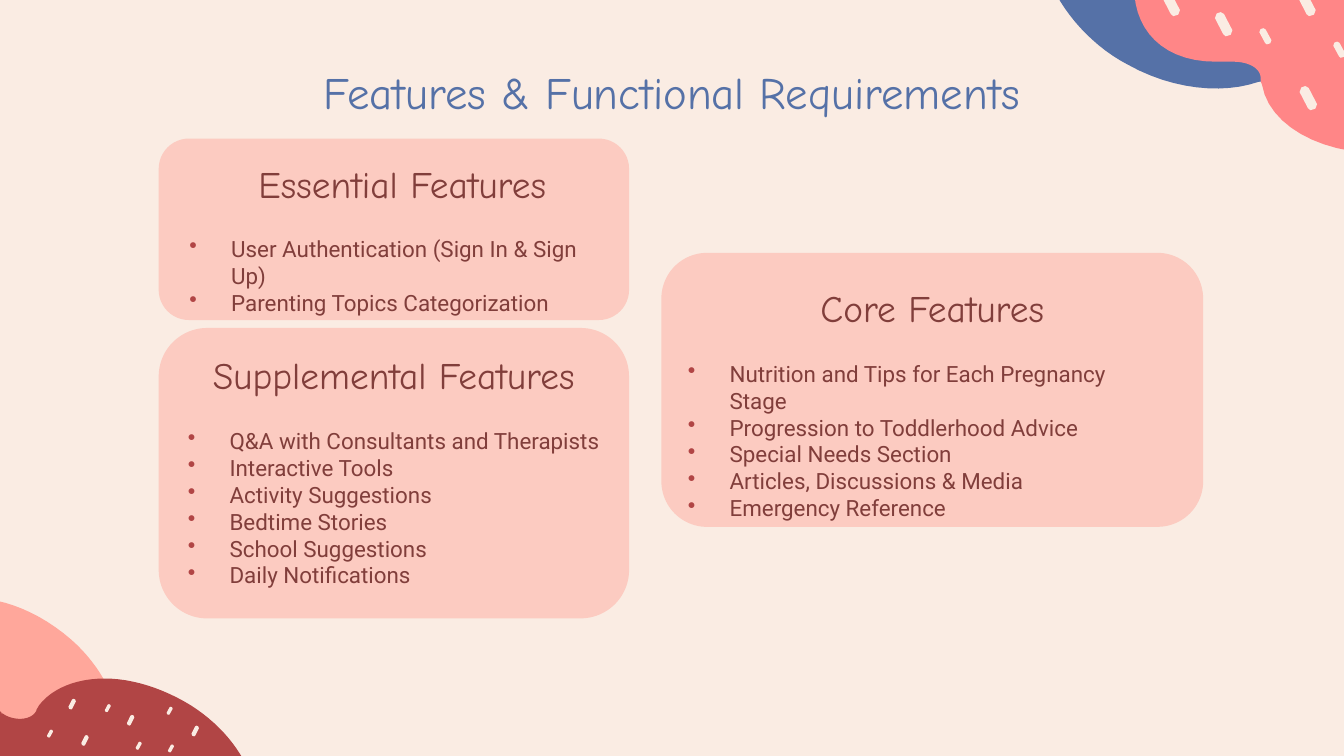
"""Build the features and functional requirements slide."""
from typing import NamedTuple

from lxml.etree import SubElement
from pptx import Presentation
from pptx.dml.color import RGBColor
from pptx.enum.shapes import MSO_SHAPE
from pptx.enum.text import MSO_ANCHOR, MSO_AUTO_SIZE, PP_ALIGN
from pptx.oxml.ns import qn
from pptx.util import Cm, Pt

CREAM, PEACH, CORAL = "FAECE3", "FFA79B", "FF8687"
RED, BROWN, BLUE = "B14545", "813E3B", "5571A7"
GRID = Cm(0.0254)
CURVE_STEPS = 12
DASH = [(0.62, 1), (0.9, 0.94), (1, 0.75), (0.52, 0.08),
        (0.33, 0), (0.1, 0.06), (0, 0.25), (0.48, 0.92)]


class Box(NamedTuple):
    left: float
    top: float
    width: float
    height: float


class Card(NamedTuple):
    panel: Box
    heading_box: Box
    heading: str
    list_box: Box
    items: list[str]


class Blob(NamedTuple):
    color: str
    start: tuple
    segments: list[tuple]


class Dashes(NamedTuple):
    width: float
    height: float
    mirrored: bool
    corners: list[tuple]


BLOBS_BOTTOM = [
    Blob(PEACH, (-134, 439), [
        (-147, 439, -159, 444, -170, 453), (-192, 473, -184, 512, -151, 542),
        (-146, 547, -142, 552, -142, 557), (-138, 585, -119, 615, -87, 638),
        (-66, 653, -40, 662, -17, 663), (86, 526),
        (81, 509, 70, 491, 53, 476), (30, 456, 3, 445, -21, 445),
        (-36, 445, -49, 450, -58, 459), (-60, 460, -61, 461, -62, 462),
        (-64, 465, -67, 466, -71, 466), (-76, 466, -82, 464, -87, 460),
        (-87, 459), (-104, 445, -120, 439, -134, 439)]),
    Blob(RED, (78, 505), [
        (57, 505, 39, 512, 29, 525), (28, 527, 27, 528, 27, 529),
        (25, 533, 20, 535, 15, 535), (11, 535, 6, 534, 2, 531),
        (1, 531, 1, 531, 1, 530), (-14, 521, -28, 517, -41, 517),
        (-57, 517, -71, 524, -82, 537), (-100, 559, -86, 598, -50, 621),
        (-49, 622), (-43, 626, -39, 630, -38, 635),
        (-30, 662, -6, 689, 29, 707), (47, 716, 69, 721, 88, 721),
        (93, 721, 97, 721, 102, 720), (183, 569),
        (175, 553, 161, 537, 142, 525), (121, 512, 98, 505, 78, 505)]),
]
BLOBS_TOP = [
    Blob(BLUE, (1039, 3), [
        (1044, 15, 1045, 28, 1042, 41), (1034, 69, 994, 80, 954, 63),
        (953, 63), (947, 60, 941, 60, 936, 61),
        (910, 70, 873, 67, 839, 48), (816, 36, 797, 16, 786, -4),
        (864, -157), (881, -160, 902, -158, 923, -149),
        (951, -137, 973, -117, 983, -96), (989, -83, 991, -69, 987, -57),
        (987, -55, 986, -54, 986, -52), (984, -49, 985, -46, 986, -42),
        (988, -38, 993, -33, 999, -31), (1000, -30),
        (1020, -22, 1032, -10, 1039, 3)]),
    Blob(CORAL, (1026, 114), [
        (1030, 114, 1034, 114, 1039, 114), (1062, 112, 1081, 104, 1095, 93),
        (1091, -78), (1072, -91, 1046, -99, 1020, -99),
        (980, -99, 947, -86, 928, -65), (925, -62, 919, -59, 912, -59),
        (911, -58), (868, -54, 838, -26, 845, 3),
        (850, 28, 870, 46, 905, 46), (908, 46, 912, 46, 915, 46),
        (918, 46), (929, 46, 938, 51, 938, 58),
        (938, 60, 938, 61, 939, 63), (944, 93, 982, 114, 1026, 114)]),
]
DASHES_BOTTOM = [
    Dashes(4.5, 6, True, [(124, 526), (35, 543), (101, 552), (78, 524), (125, 554)]),
    Dashes(5.5, 8, True, [(94.5, 532), (51, 520), (142.5, 540), (60.5, 547)]),
]
DASHES_TOP = [
    Dashes(13, 18, False, [(865, -6), (966, -6), (967, 64), (904, 9)]),
    Dashes(9, 12, False, [(937, 21), (992, 31)]),
]
TITLE_BOX = Box(3.73, 1.09, 17.93, 1.3)
CARDS = [
    Card(Box(3, 2.62, 8.89, 3.43), Box(4.8, 2.82, 5.61, 1.3), "Essential Features",
         Box(3.33, 4.32, 8.59, 1.27),
         ["User Authentication (Sign In & Sign Up)", "Parenting Topics Categorization"]),
    Card(Box(12.5, 4.78, 10.24, 5.18), Box(13.72, 5.16, 7.8, 1.3), "Core Features",
         Box(12.75, 6.68, 9.37, 2.82),
         ["Nutrition and Tips for Each Pregnancy Stage", "Progression to Toddlerhood Advice",
          "Special Needs Section", "Articles, Discussions & Media", "Emergency Reference"]),
    Card(Box(3, 6.2, 8.89, 5.49), Box(3.15, 6.43, 8.59, 1.3), "Supplemental Features",
         Box(3.3, 7.95, 8.59, 3.33),
         ["Q&A with Consultants and Therapists", "Interactive Tools", "Activity Suggestions",
          "Bedtime Stories", "School Suggestions", "Daily Notifications"]),
]


def set_fill(fill, color: str) -> None:
    fill.solid()
    fill.fore_color.rgb = RGBColor.from_string(color)


def to_cm(box: Box) -> list[Cm]:
    return [Cm(v) for v in box]


def add_outline(s, points: list[tuple], color: str) -> None:
    emu = [(round(x * GRID), round(y * GRID)) for x, y in points]
    builder = s.shapes.build_freeform(*emu[0])
    builder.add_line_segments(emu[1:])
    sp = builder.convert_to_shape()
    sp.shadow.inherit = False
    set_fill(sp.fill, color)
    sp.line.fill.background()


def add_blob(s, blob: Blob) -> None:
    points = [blob.start]
    for seg in blob.segments:
        if len(seg) == 2:
            points.append(seg)
            continue
        ctrl = [points[-1], seg[:2], seg[2:4], seg[4:]]
        for i in range(1, CURVE_STEPS + 1):
            t = i / CURVE_STEPS
            weights = ((1 - t) ** 3, 3 * t * (1 - t) ** 2, 3 * t * t * (1 - t), t ** 3)
            points.append(tuple(sum(w * c[axis] for w, c in zip(weights, ctrl))
                                for axis in (0, 1)))
    add_outline(s, points, blob.color)


def add_dashes(s, dashes: Dashes) -> None:
    for left, top in dashes.corners:
        add_outline(s, [(left + dashes.width * (1 - x if dashes.mirrored else x),
                         top + dashes.height * y) for x, y in DASH], CREAM)


def set_font(p, name: str, size: float, color: str) -> None:
    for r in p.runs:
        r.font.name = name
        r.font.size = Pt(size)
        r.font.color.rgb = RGBColor.from_string(color)


def add_heading(s, box: Box, text: str, size: float, color: str) -> None:
    tf = s.shapes.add_textbox(*to_cm(box)).text_frame
    tf.word_wrap = True
    tf.vertical_anchor = MSO_ANCHOR.MIDDLE
    tf.margin_left = tf.margin_right = tf.margin_top = tf.margin_bottom = Cm(0)
    tf.text = text
    p = tf.paragraphs[0]
    p.alignment = PP_ALIGN.CENTER
    set_font(p, "Comic Neue", size, color)


def add_bullets(s, box: Box, items: list[str]) -> None:
    tf = s.shapes.add_textbox(*to_cm(box)).text_frame
    tf.word_wrap = True
    tf.auto_size = MSO_AUTO_SIZE.SHAPE_TO_FIT_TEXT
    tf.text = "\n".join(items)
    for p in tf.paragraphs:
        pPr = p._p.get_or_add_pPr()
        pPr.set("marL", str(Cm(0.79)))
        pPr.set("indent", str(-Cm(0.79)))
        SubElement(SubElement(pPr, qn("a:buClr")), qn("a:srgbClr"), val=RED)
        SubElement(pPr, qn("a:buChar"), char="•")
        set_font(p, "Roboto", 12, BROWN)


def add_card(s, card: Card) -> None:
    sp = s.shapes.add_shape(MSO_SHAPE.ROUNDED_RECTANGLE, *to_cm(card.panel))
    sp.shadow.inherit = False
    set_fill(sp.fill, PEACH)
    SubElement(sp._element.spPr.find(".//" + qn("a:srgbClr")), qn("a:alpha"), val="47000")
    sp.line.fill.background()
    add_bullets(s, card.list_box, card.items)
    add_heading(s, card.heading_box, card.heading, 20, BROWN)


def main() -> None:
    prs = Presentation()
    prs.slide_width, prs.slide_height = Cm(25.4), Cm(14.29)
    s = prs.slides.add_slide(prs.slide_layouts[6])
    set_fill(s.background.fill, CREAM)
    for blobs, groups in ((BLOBS_BOTTOM, DASHES_BOTTOM), (BLOBS_TOP, DASHES_TOP)):
        for blob in blobs:
            add_blob(s, blob)
        for dashes in groups:
            add_dashes(s, dashes)
    add_heading(s, TITLE_BOX, "Features & Functional Requirements", 24, BLUE)
    for card in CARDS:
        add_card(s, card)
    prs.save("out.pptx")


if __name__ == "__main__":
    main()
